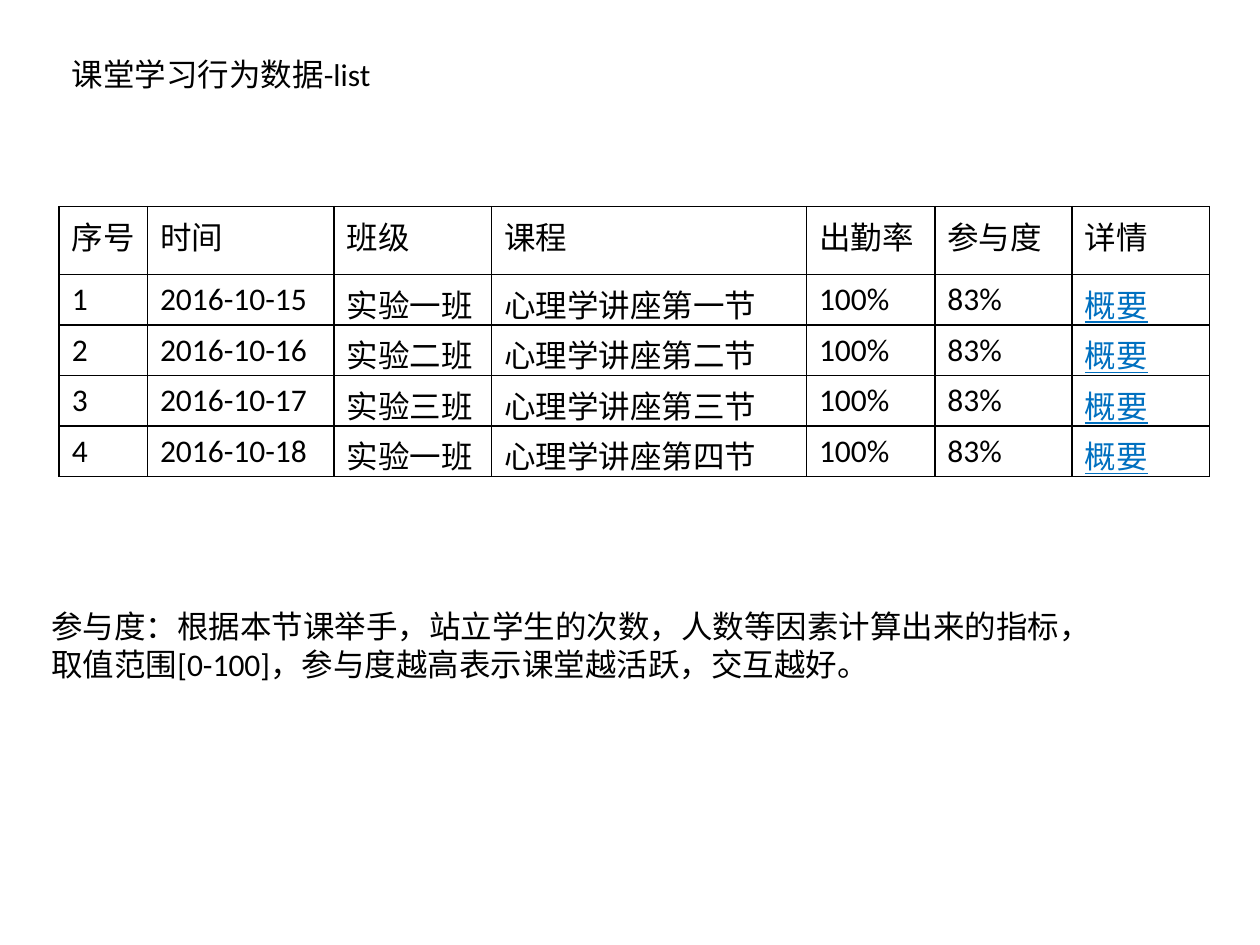
from lxml.etree import SubElement
from pptx import Presentation
from pptx.dml.color import RGBColor
from pptx.enum.text import MSO_ANCHOR as Anchor, MSO_AUTO_SIZE as AutoSize, PP_ALIGN as Align
from pptx.oxml.ns import qn
from pptx.util import Inches, Pt

COLORS = {"text": "000000", "border": "000000", "link": "0070C0"}
FONT, SIZE = "Calibri", 18

TITLE = "课堂学习行为数据-list"
HEADERS = ["序号", "时间", "班级", "课程", "出勤率", "参与度", "详情"]
CLASSES = ["实验一班", "实验二班", "实验三班", "实验一班"]
LESSONS = "一二三四"
NOTE = [
    "参与度：根据本节课举手，站立学生的次数，人数等因素计算出来的指标，",
    "取值范围[0-100]，参与度越高表示课堂越活跃，交互越好。",
]
COLUMNS = [0.7, 1.48, 1.25, 2.5, 1.02, 1.09, 1.09]
ROWS = [0.54] + [0.4] * len(CLASSES)


def add_run(paragraph, text, color="text", underline=False):
    run = paragraph.add_run()
    run.text = text
    run.font.name = FONT
    run.font.size = Pt(SIZE)
    run.font.bold = False
    run.font.underline = underline
    run.font.color.rgb = RGBColor.from_string(COLORS[color])


def add_borders(cell):
    properties = cell._tc.get_or_add_tcPr()
    for index, side in enumerate(("lnL", "lnR", "lnT", "lnB")):
        line = properties.makeelement(qn(f"a:{side}"), {"w": str(Pt(1))})
        properties.insert(index, line)
        fill = SubElement(line, qn("a:solidFill"))
        SubElement(fill, qn("a:srgbClr"), val=COLORS["border"])


def place_title(slide, left, top, width, height):
    title = slide.shapes.title
    title.left, title.top, title.width, title.height = map(Inches, (left, top, width, height))
    frame = title.text_frame
    frame.word_wrap = True
    frame.auto_size = AutoSize.SHAPE_TO_FIT_TEXT
    frame.vertical_anchor = Anchor.TOP
    paragraph = frame.paragraphs[0]
    paragraph.alignment = Align.LEFT
    add_run(paragraph, TITLE)


def place_lesson_table(slide, left, top):
    records = [HEADERS] + [
        [str(number), f"2016-10-{14 + number}", group, f"心理学讲座第{lesson}节", "100%", "83%", "概要"]
        for number, (group, lesson) in enumerate(zip(CLASSES, LESSONS), 1)
    ]
    table = slide.shapes.add_table(
        len(ROWS), len(COLUMNS),
        Inches(left), Inches(top), Inches(sum(COLUMNS)), Inches(sum(ROWS)),
    ).table
    table.first_row = table.horz_banding = False
    for column, width in zip(table.columns, COLUMNS):
        column.width = Inches(width)
    for row_index, (row, height, record) in enumerate(zip(table.rows, ROWS, records)):
        row.height = Inches(height)
        for column_index, (cell, text) in enumerate(zip(row.cells, record)):
            is_link = row_index > 0 and column_index == len(COLUMNS) - 1
            cell.fill.background()
            add_borders(cell)
            add_run(cell.text_frame.paragraphs[0], text, "link" if is_link else "text", is_link)


def place_note(slide, left, top, width, height):
    frame = slide.shapes.add_textbox(*map(Inches, (left, top, width, height))).text_frame
    frame.word_wrap = False
    frame.auto_size = AutoSize.SHAPE_TO_FIT_TEXT
    for index, text in enumerate(NOTE):
        paragraph = frame.add_paragraph() if index else frame.paragraphs[0]
        add_run(paragraph, text)


presentation = Presentation()
presentation.slide_width, presentation.slide_height = Inches(10), Inches(7.5)
slide = presentation.slides.add_slide(presentation.slide_layouts.get_by_name("Title Only"))
place_title(slide, 0.47, 0.39, 2.59, 0.4)
place_lesson_table(slide, 0.47, 1.64)
place_note(slide, 0.31, 4.77, 8.53, 0.71)
presentation.save("out.pptx")
